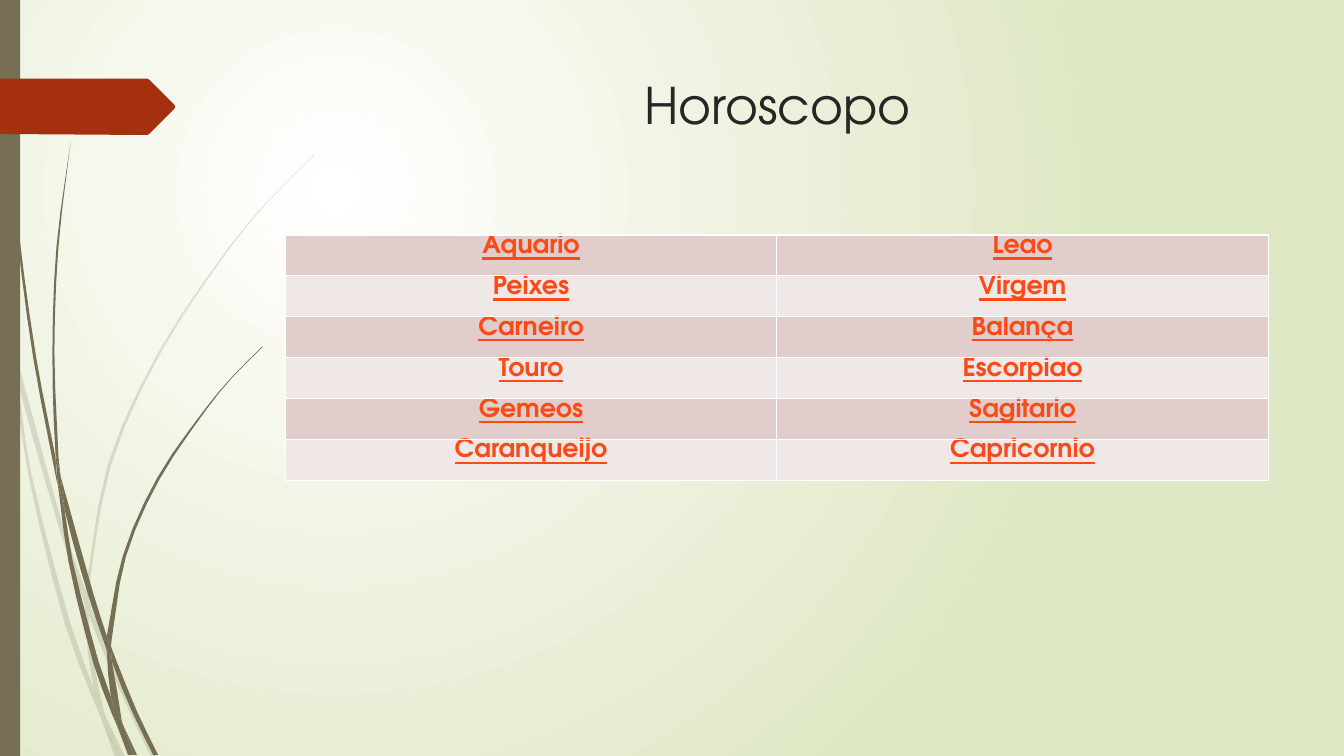
import math
from dataclasses import dataclass

from lxml import etree
from pptx import Presentation
from pptx.dml.color import RGBColor
from pptx.enum.shapes import MSO_SHAPE
from pptx.enum.text import MSO_ANCHOR, MSO_AUTO_SIZE, PP_ALIGN
from pptx.oxml.ns import qn
from pptx.util import Cm, Pt

FONT = "TeX Gyre Adventor"
OLIVE, RUST, INK, LINK = "766F54", "A53010", "262626", "FB4A18"
BANDS = ("E1CDCC", "F0E8E7")
GRID = 0.0254  # cm per drawing unit of the outlines
STRETCH = 40  # a longer stretch of an edge is bent
MAX_STEPS = 3

Point = tuple[float, float]


@dataclass
class Blade:
    """A piece of a grass stem: one edge out, the other edge back."""
    out: list[Point]
    back: list[Point]


FADED = [
    Blade([(11, 350), (9, 322), (0, 282)], [(0, 299), (10, 344), (11, 350)]),
    Blade([(14, 345), (17, 376), (58, 522), (84, 599)],
          [(85, 586), (62, 520), (14, 345)]),
    Blade([(88, 596), (88, 610), (123, 694), (150, 751)],
          [(155, 751), (127, 692), (92, 607), (88, 596)]),
    Blade([(105, 711), (119, 751)], [(124, 751), (105, 711)]),
    Blade([(11, 350), (28, 470), (65, 621), (92, 693), (101, 714)],
          [(99, 707), (93, 683), (70, 619), (31, 469), (17, 376), (11, 350)]),
    Blade([(84, 599), (87, 646), (93, 683), (96, 692), (105, 711)],
          [(103, 706), (91, 646), (88, 610), (84, 599)]),
    Blade([(312, 153), (268, 197), (228, 244), (158, 348), (107, 461), (85, 586)],
          [(88, 596), (88, 584), (110, 462), (160, 349), (229, 245),
           (268, 198), (312, 154)]),
    Blade([(101, 714), (114, 751)], [(119, 751), (101, 714)]),
    Blade([(85, 586), (84, 599), (88, 608)], [(88, 596), (85, 586)]),
    Blade([(93, 683), (101, 714), (119, 751)], [(105, 711), (96, 692), (93, 683)]),
]
SOLID = [
    Blade([(3, 0), (7, 110), (17, 233), (33, 355), (57, 481)],
          [(55, 453), (36, 355), (19, 232), (8, 109), (4, 0)]),
    Blade([(60, 472), (64, 505), (88, 592), (106, 645)],
          [(106, 631), (93, 590), (60, 472)]),
    Blade([(110, 641), (111, 656), (132, 708), (152, 749)],
          [(157, 749), (136, 706), (113, 649), (110, 641)]),
    Blade([(57, 477), (68, 557), (93, 659), (111, 708), (117, 722)],
          [(116, 717), (110, 691), (98, 657), (72, 556), (64, 505), (57, 477)]),
    Blade([(70, 141), (56, 245), (52, 349), (55, 449), (60, 472)],
          [(58, 453), (54, 349), (58, 245), (70, 141)]),
    Blade([(122, 719), (133, 749)], [(136, 749), (122, 719)]),
    Blade([(55, 449), (57, 477), (64, 505)], [(60, 472), (55, 449)]),
    Blade([(260, 344), (231, 373), (204, 405), (156, 474), (122, 551), (106, 631)],
          [(110, 641), (111, 633), (125, 552), (158, 476), (205, 406),
           (231, 374), (261, 344)]),
    Blade([(117, 722), (127, 749)], [(131, 749), (117, 722)]),
    Blade([(106, 645), (110, 691), (122, 719)], [(121, 716), (111, 656), (106, 645)]),
    Blade([(106, 631), (106, 645), (111, 656)], [(110, 641), (106, 631)]),
    Blade([(110, 691), (117, 722), (130, 749)], [(133, 749), (122, 719), (110, 691)]),
]
BANNER = [(0, 78), (146, 78), (148, 79), (173, 104), (174, 106), (173, 108),
          (148, 133), (146, 134), (0, 133)]
SIGNS = [("Aquario", "Leao"), ("Peixes", "Virgem"), ("Carneiro", "Balança"),
         ("Touro", "Escorpiao"), ("Gemeos", "Sagitario"),
         ("Caranqueijo", "Capricornio")]


def rgb(color: str) -> RGBColor:
    return RGBColor.from_string(color)


def smooth(edge: list[Point]) -> list[Point]:
    """Sample a Hermite curve through the points of an edge."""
    headings = []
    for i in range(len(edge)):
        (x0, y0), (x1, y1) = edge[max(i - 1, 0)], edge[min(i + 1, len(edge) - 1)]
        length = math.dist((x0, y0), (x1, y1))
        headings.append(((x1 - x0) / length, (y1 - y0) / length))
    points = [edge[0]]
    for p, q, u, v in zip(edge, edge[1:], headings, headings[1:]):
        reach = math.dist(p, q)
        steps = min(MAX_STEPS, math.ceil(reach / STRETCH))
        for step in range(1, steps + 1):
            t = step / steps
            a, b = 2 * t**3 - 3 * t**2 + 1, 3 * t**2 - 2 * t**3
            c, d = (t**3 - 2 * t**2 + t) * reach, (t**3 - t**2) * reach
            points.append((a * p[0] + b * q[0] + c * u[0] + d * v[0],
                           a * p[1] + b * q[1] + c * u[1] + d * v[1]))
    return points


def paint(shape, color: str, opacity: int = 100) -> None:
    shape.shadow.inherit = False
    shape.line.fill.background()
    shape.fill.solid()
    shape.fill.fore_color.rgb = rgb(color)
    if opacity < 100:
        tint = shape._element.spPr.find(".//" + qn("a:srgbClr"))
        etree.SubElement(tint, qn("a:alpha"), val=str(opacity * 1000))


def draw_outline(slide, points: list[Point], color: str, opacity: int = 100) -> None:
    start, *rest = [(Cm(x * GRID), Cm(y * GRID)) for x, y in points]
    builder = slide.shapes.build_freeform(*start)
    builder.add_line_segments(rest, close=True)
    paint(builder.convert_to_shape(), color, opacity)


def write(frame, text: str, size: int, color: str, link_look: bool = False) -> None:
    paragraph = frame.paragraphs[0]
    paragraph.alignment = PP_ALIGN.CENTER
    run = paragraph.add_run()
    run.text = text
    run.font.name, run.font.size = FONT, Pt(size)
    run.font.color.rgb = rgb(color)
    run.font.bold = run.font.underline = link_look


def border(cell, color: str, width: int) -> None:
    properties = cell._tc.get_or_add_tcPr()
    for i, side in enumerate(("a:lnL", "a:lnR", "a:lnT", "a:lnB")):
        line = etree.Element(qn(side), w=str(Pt(width)))
        fill = etree.SubElement(line, qn("a:solidFill"))
        etree.SubElement(fill, qn("a:srgbClr"), val=color)
        properties.insert(i, line)


prs = Presentation()
prs.slide_width, prs.slide_height = Cm(33.87), Cm(19.05)
slide = prs.slides.add_slide(prs.slide_layouts[5])

# Background: radial glow
glow = slide.background.fill
glow.gradient()
for stop, position, color in zip(glow.gradient_stops, (0, 1), ("FFFFFF", "DFE8C4")):
    stop.position, stop.color.rgb = position, rgb(color)
gradient = slide.element.find(".//" + qn("a:gradFill"))
gradient.remove(gradient.find(qn("a:lin")))
path = etree.SubElement(gradient, qn("a:path"), path="circle")
etree.SubElement(path, qn("a:fillToRect"), l="50000", t="50000", r="100000", b="100000")

# Grass, side bar and banner
for blades, opacity in ((FADED, 20), (SOLID, 100)):
    for blade in blades:
        draw_outline(slide, smooth(blade.out) + smooth(blade.back), OLIVE, opacity)
side_bar = slide.shapes.add_shape(MSO_SHAPE.RECTANGLE, 0, 0, Cm(0.51), prs.slide_height)
paint(side_bar, OLIVE)
draw_outline(slide, BANNER, RUST)

# Title
title = slide.shapes.title
title.left, title.top, title.width, title.height = Cm(7.21), Cm(1.73), Cm(24.77), Cm(3.56)
title.text_frame.auto_size = MSO_AUTO_SIZE.NONE
title.text_frame.vertical_anchor = MSO_ANCHOR.TOP
write(title.text_frame, "Horoscopo", 36, INK)

# Table of signs
table = slide.shapes.add_table(len(SIGNS), 2, Cm(7.19), Cm(5.92), Cm(24.77),
                               Cm(1.03) * len(SIGNS)).table
table.first_row = table.horz_banding = False
for r, pair in enumerate(SIGNS):
    for c, sign in enumerate(pair):
        cell = table.cell(r, c)
        cell.margin_top = cell.margin_bottom = 0
        cell.fill.solid()
        cell.fill.fore_color.rgb = rgb(BANDS[r % 2])
        border(cell, "FFFFFF", 1)
        write(cell.text_frame, sign, 18, LINK, link_look=True)

prs.save("out.pptx")
